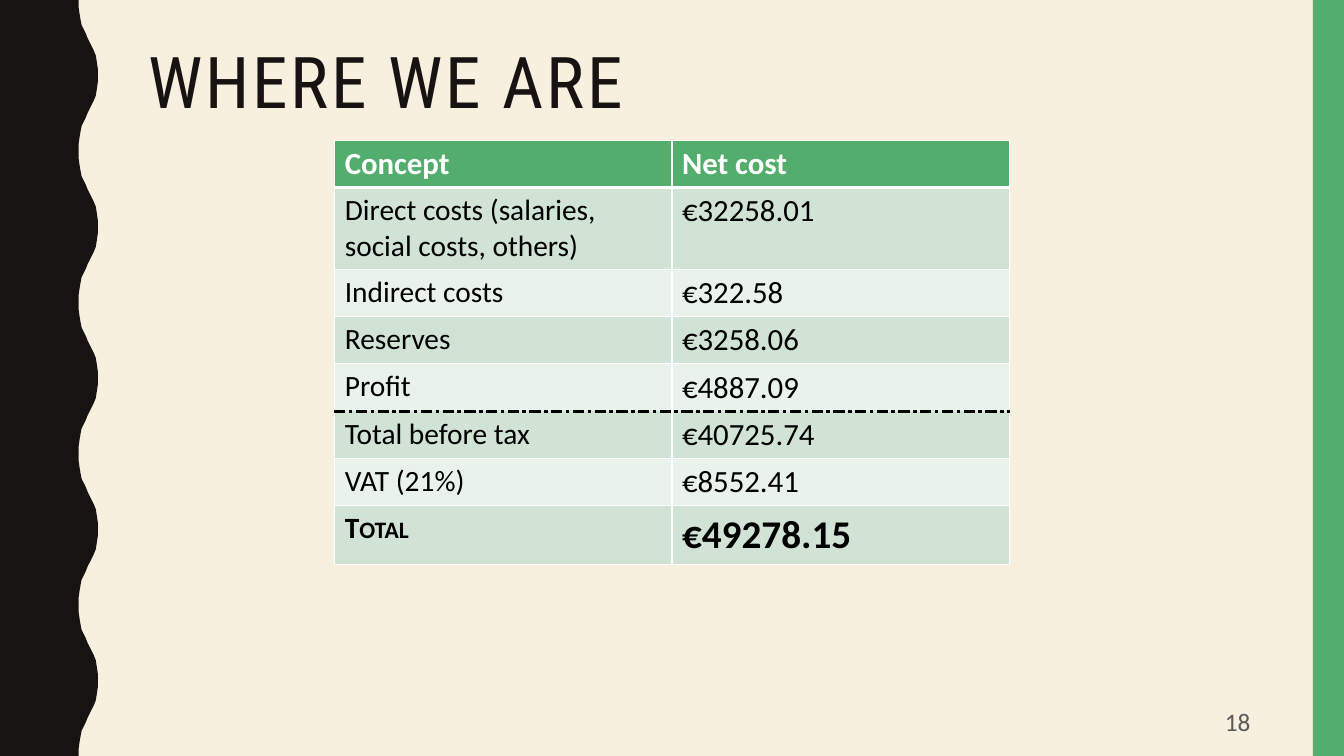
from lxml import etree
from pptx import Presentation
from pptx.dml.color import RGBColor
from pptx.enum.shapes import MSO_SHAPE as Shape
from pptx.enum.text import MSO_ANCHOR as Anchor, PP_ALIGN as Align
from pptx.oxml.ns import qn
from pptx.util import Inches, Pt

# Content
TITLE = "WHERE WE ARE"
PAGE_NUMBER = "18"
COSTS = [
    ("Concept", "Net cost"),
    ("Direct costs (salaries, social costs, others)", "€32258.01"),
    ("Indirect costs", "€322.58"),
    ("Reserves", "€3258.06"),
    ("Profit", "€4887.09"),
    ("Total before tax", "€40725.74"),
    ("VAT (21%)", "€8552.41"),
    ("Total", "€49278.15"),
]
PROFIT_ROW = 4
TOTAL_ROW = len(COSTS) - 1

# Formats
CREAM, DARK, GREEN, GREY = "F7F0DF", "171312", "53AE6E", "595959"
BLACK, WHITE = "000000", "FFFFFF"
BANDS = ("E9F2EB", "D1E3D5")
TITLE_FONT = dict(name="Roboto Condensed", size=Pt(51))
PAGE_FONT = dict(name="Calibri", size=Pt(18))
ROW_HEIGHT, TALL_ROWS = 0.47, {1: 0.81, TOTAL_ROW: 0.58}
THIN, THICK = (WHITE, 1, "solid"), (WHITE, 3, "solid")
DASHED = (BLACK, 2.25, "sysDashDot")

# Left edge of the slide: half a wave as (x, y), mirrored for the other half
HALF_WAVE = [
    (0.78, 0), (0.78, 0.07), (0.79, 0.14), (0.8, 0.2), (0.81, 0.25),
    (0.83, 0.29), (0.85, 0.33), (0.87, 0.38), (0.89, 0.42), (0.91, 0.46),
    (0.93, 0.5), (0.95, 0.55), (0.96, 0.61), (0.97, 0.68), (0.97, 0.75),
]
WAVE_LENGTH, WAVE_COUNT = 1.5, 5


def rgb(value):
    return RGBColor.from_string(value)


def paint(shape, color):
    shape.shadow.inherit = False
    shape.fill.solid()
    shape.fill.fore_color.rgb = rgb(color)
    shape.line.fill.background()


def write(frame, text, color, font_values):
    frame.word_wrap = True
    paragraph = frame.paragraphs[0]
    run = paragraph.add_run()
    run.text = text
    run.font.color.rgb = rgb(color)
    for name, value in font_values.items():
        setattr(run.font, name, value)
    return paragraph, run


def add_text(slide, box, text, color, font_values):
    shape = slide.shapes.add_textbox(*map(Inches, box))
    return shape.text_frame, *write(shape.text_frame, text, color, font_values)


def set_borders(cell, top, bottom):
    properties = cell._tc.get_or_add_tcPr()
    sides = {"a:lnL": THIN, "a:lnR": THIN, "a:lnT": top, "a:lnB": bottom}
    for position, (tag, (color, width, dash)) in enumerate(sides.items()):
        line = etree.Element(qn(tag), w=str(Pt(width)))
        fill = etree.SubElement(line, qn("a:solidFill"))
        etree.SubElement(fill, qn("a:srgbClr"), val=color)
        etree.SubElement(line, qn("a:prstDash"), val=dash)
        properties.insert(position, line)


def add_side_bands(slide):
    wave = HALF_WAVE + [(x, WAVE_LENGTH - y) for x, y in HALF_WAVE[-2::-1]]
    edge = [(x, y + WAVE_LENGTH * number)
            for number in range(WAVE_COUNT) for x, y in wave]
    points = [(Inches(x), Inches(y)) for x, y in edge + [(0, 7.5)]]
    builder = slide.shapes.build_freeform(0, 0)
    builder.add_line_segments(points, close=True)
    paint(builder.convert_to_shape(), DARK)
    right_band = slide.shapes.add_shape(
        Shape.RECTANGLE, *map(Inches, (13.02, 0, 0.31, 7.5)))
    paint(right_band, GREEN)


def row_border_below(row):
    return {0: THICK, PROFIT_ROW: DASHED}.get(row, THIN)


def add_cost_table(slide):
    heights = [TALL_ROWS.get(row, ROW_HEIGHT) for row in range(len(COSTS))]
    table = slide.shapes.add_table(
        len(COSTS), 2, *map(Inches, (3.32, 1.39, 6.69, sum(heights)))).table
    for row, values in enumerate(COSTS):
        table.rows[row].height = Inches(heights[row])
        for column, text in enumerate(values):
            cell = table.cell(row, column)
            cell.fill.solid()
            cell.fill.fore_color.rgb = rgb(BANDS[row % 2] if row else GREEN)
            top = row_border_below(row - 1) if row else THIN
            set_borders(cell, top, row_border_below(row))
            is_total = row == TOTAL_ROW
            size = 22 if row == 0 or column else 21
            if is_total and column:
                size = 28
            font_values = dict(name="Calibri", size=Pt(size),
                               bold=row == 0 or is_total)
            _, run = write(cell.text_frame, text, BLACK if row else WHITE,
                           font_values)
            if is_total and column == 0:
                run.font._element.set("cap", "small")


def main():
    presentation = Presentation()
    presentation.slide_width = Inches(13.33)
    presentation.slide_height = Inches(7.5)
    slide = presentation.slides.add_slide(presentation.slide_layouts[6])
    slide.background.fill.solid()
    slide.background.fill.fore_color.rgb = rgb(CREAM)
    add_side_bands(slide)

    # Title with wide letter spacing
    _, paragraph, run = add_text(
        slide, (1.37, 0.42, 11.13, 1.63), TITLE, DARK, TITLE_FONT)
    paragraph.line_spacing = 0.9
    run.font._element.set("spc", "200")

    add_cost_table(slide)

    # Page number
    frame, paragraph, _ = add_text(
        slide, (9.42, 6.97, 3.08, 0.38), PAGE_NUMBER, GREY, PAGE_FONT)
    frame.vertical_anchor = Anchor.MIDDLE
    paragraph.alignment = Align.RIGHT
    presentation.save("out.pptx")


if __name__ == "__main__":
    main()
